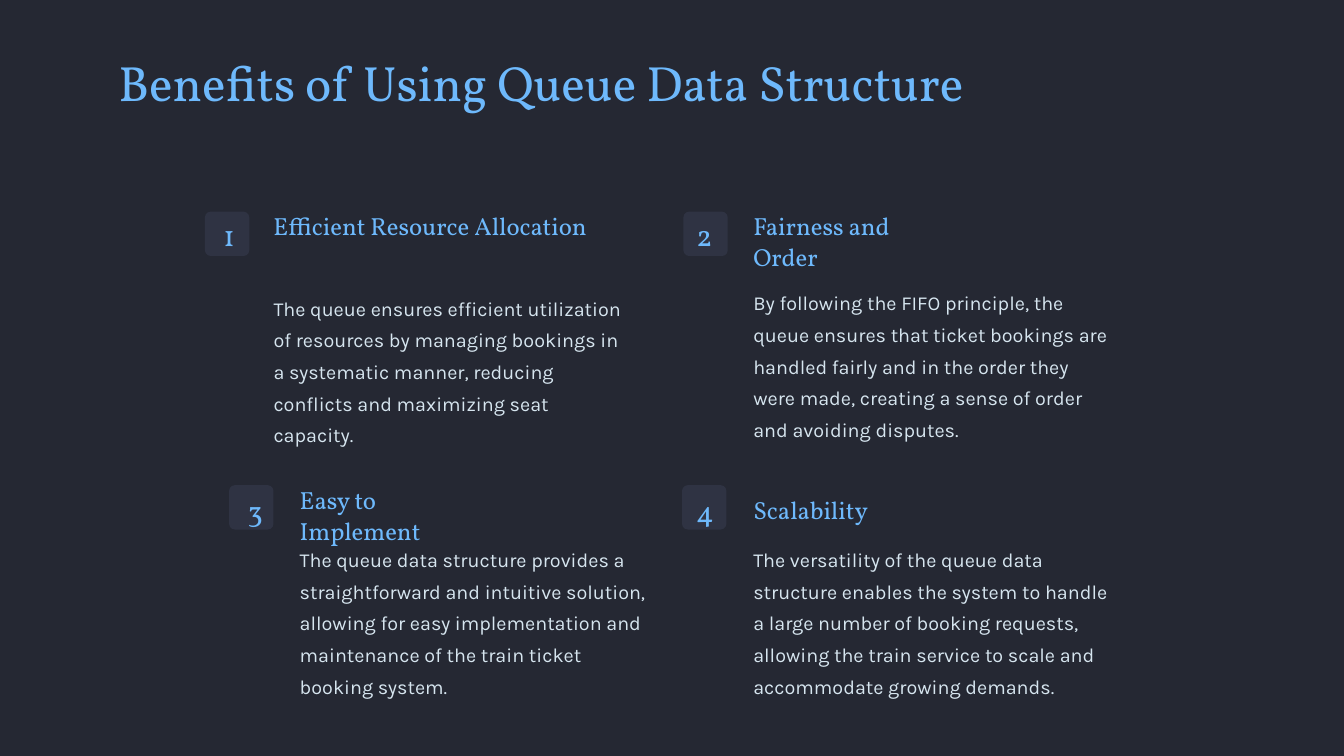
from dataclasses import dataclass

from pptx import Presentation
from pptx.dml.color import RGBColor
from pptx.enum.shapes import MSO_SHAPE
from pptx.enum.text import MSO_ANCHOR, MSO_AUTO_SIZE, PP_ALIGN
from pptx.util import Inches, Pt


@dataclass(frozen=True)
class TextStyle:
    font: str
    size: float
    line_spacing: float
    color: RGBColor


class Theme:
    background = RGBColor(0x25, 0x28, 0x33)
    badge = RGBColor(0x2F, 0x33, 0x43)
    accent = RGBColor(0x6E, 0xB9, 0xFC)
    title = TextStyle("Vollkorn", 53.1, 66.4, accent)
    number = TextStyle("Vollkorn", 31.9, 39.8, accent)
    heading = TextStyle("Vollkorn", 26.5, 33.2, accent)
    body = TextStyle("Karla", 21.2, 34, RGBColor(0xD6, 0xE5, 0xEF))


@dataclass(frozen=True)
class Benefit:
    """Card corner, then the offsets of its text from that corner."""
    left: float
    top: float
    number_center: float
    number_top: float
    text_left: float
    heading_top: float
    heading_width: float
    body_top: float
    heading: str
    body: str


BADGE_SIZE = 0.66
NUMBER_WIDTH, NUMBER_HEIGHT = 0.42, 0.54
HEADING_HEIGHT = 0.38
BODY_WIDTH, BODY_HEIGHT = 5.29, 2.35

BENEFITS = [
    Benefit(3.05, 3.15, 0.36, 0.05, 1.02, -0.03, 4.9, 1.14,
            "Efficient Resource Allocation",
            "The queue ensures efficient utilization of resources by managing "
            "bookings in a systematic manner, reducing conflicts and "
            "maximizing seat capacity."),
    Benefit(10.17, 3.15, 0.31, 0.05, 1.04, -0.03, 2.9, 1.06,
            "Fairness and Order",
            "By following the FIFO principle, the queue ensures that ticket "
            "bookings are handled fairly and in the order they were made, "
            "creating a sense of order and avoiding disputes."),
    Benefit(3.41, 7.22, 0.39, 0.09, 1.05, -0.02, 2.9, 0.81,
            "Easy to Implement",
            "The queue data structure provides a straightforward and intuitive "
            "solution, allowing for easy implementation and maintenance of the "
            "train ticket booking system."),
    Benefit(10.15, 7.22, 0.34, 0.09, 1.06, 0.13, 2.9, 0.81,
            "Scalability",
            "The versatility of the queue data structure enables the system to "
            "handle a large number of booking requests, allowing the train "
            "service to scale and accommodate growing demands."),
]


def write_text(shape, text, style, alignment=PP_ALIGN.LEFT):
    frame = shape.text_frame
    frame.word_wrap = True
    frame.auto_size = MSO_AUTO_SIZE.NONE
    frame.vertical_anchor = MSO_ANCHOR.TOP
    frame.margin_left = frame.margin_right = 0
    frame.margin_top = frame.margin_bottom = 0
    paragraph = frame.paragraphs[0]
    paragraph.alignment = alignment
    paragraph.line_spacing = Pt(style.line_spacing)
    run = paragraph.add_run()
    run.text = text
    run.font.name = style.font
    run.font.size = Pt(style.size)
    run.font.color.rgb = style.color


def add_text(slide, left, top, width, height, text, style,
             alignment=PP_ALIGN.LEFT):
    box = slide.shapes.add_textbox(
        Inches(left), Inches(top), Inches(width), Inches(height))
    write_text(box, text, style, alignment)


def place_title(slide, left, top, width, height):
    title = slide.shapes.title
    title.left, title.top = Inches(left), Inches(top)
    title.width, title.height = Inches(width), Inches(height)
    write_text(title, "Benefits of Using Queue Data Structure", Theme.title)


def add_benefit(slide, number, benefit):
    left, top = benefit.left, benefit.top

    # Numbered badge
    badge = slide.shapes.add_shape(
        MSO_SHAPE.ROUNDED_RECTANGLE, Inches(left), Inches(top),
        Inches(BADGE_SIZE), Inches(BADGE_SIZE))
    badge.adjustments[0] = 0.13
    badge.shadow.inherit = False
    badge.fill.solid()
    badge.fill.fore_color.rgb = Theme.badge
    badge.line.fill.background()
    add_text(slide, left + benefit.number_center - NUMBER_WIDTH / 2,
             top + benefit.number_top, NUMBER_WIDTH, NUMBER_HEIGHT,
             str(number), Theme.number, PP_ALIGN.CENTER)

    # Heading and description
    text_left = left + benefit.text_left
    add_text(slide, text_left, top + benefit.heading_top,
             benefit.heading_width, HEADING_HEIGHT,
             benefit.heading, Theme.heading)
    add_text(slide, text_left, top + benefit.body_top,
             BODY_WIDTH, BODY_HEIGHT, benefit.body, Theme.body)


def main():
    presentation = Presentation()
    presentation.slide_width = Inches(20)
    presentation.slide_height = Inches(11.25)
    slide = presentation.slides.add_slide(presentation.slide_layouts[5])
    slide.background.fill.solid()
    slide.background.fill.fore_color.rgb = Theme.background

    place_title(slide, 1.76, 0.74, 12.99, 1.77)
    for number, benefit in enumerate(BENEFITS, start=1):
        add_benefit(slide, number, benefit)

    presentation.save("out.pptx")


if __name__ == "__main__":
    main()
